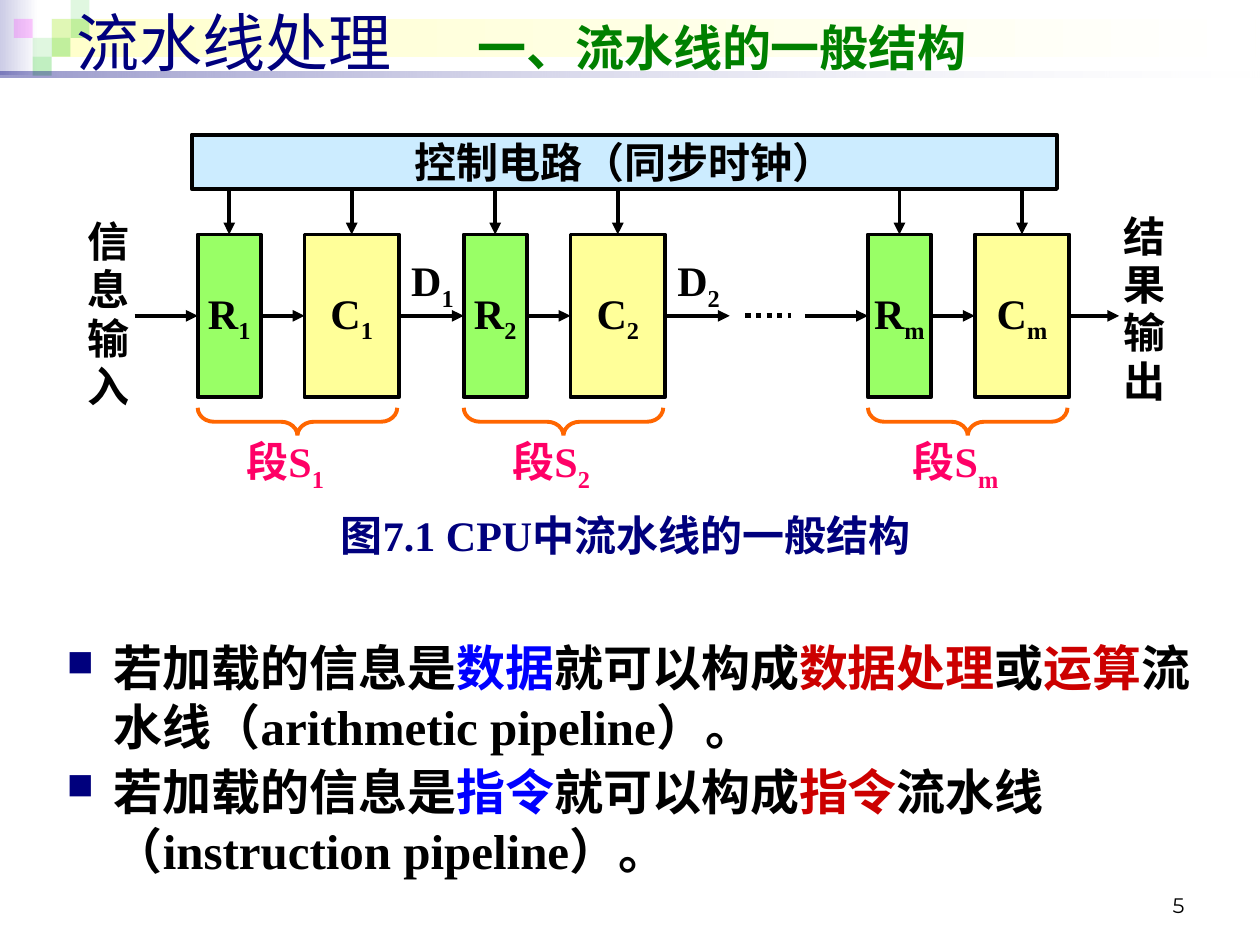
from lxml import etree
from pptx import Presentation
from pptx.dml.color import RGBColor
from pptx.enum.dml import MSO_LINE
from pptx.enum.shapes import MSO_CONNECTOR, MSO_SHAPE
from pptx.enum.text import MSO_ANCHOR, PP_ALIGN
from pptx.oxml.ns import qn
from pptx.util import Pt

BLACK = RGBColor(0x00, 0x00, 0x00)
WHITE = RGBColor(0xFF, 0xFF, 0xFF)
NAVY = RGBColor(0x00, 0x00, 0x7D)
LAVENDER = RGBColor(0xCC, 0xCC, 0xE6)
CREAM = RGBColor(0xFF, 0xFF, 0xCC)
GREEN = RGBColor(0x33, 0xCC, 0x33)
MAGENTA = RGBColor(0xFF, 0x00, 0xFF)
TITLE_GREEN = RGBColor(0x00, 0x80, 0x00)
BLUE = RGBColor(0x00, 0x00, 0xFF)
RED = RGBColor(0xCC, 0x00, 0x00)
PINK = RGBColor(0xFF, 0x00, 0x66)
ORANGE = RGBColor(0xFF, 0x66, 0x00)
SKY = RGBColor(0xCC, 0xEC, 0xFF)
REGISTER_FILL = RGBColor(0x99, 0xFF, 0x66)
CIRCUIT_FILL = RGBColor(0xFF, 0xFF, 0x99)


def add_xml(parent, tag, **attributes):
    return etree.SubElement(parent, qn(tag), {k: str(v) for k, v in attributes.items()})


def set_alpha(color_parent, percent):
    for color in color_parent.iter(qn("a:srgbClr")):
        add_xml(color, "a:alpha", val=percent * 1000)


def write(para, spans, size=24, font="Times New Roman", color=BLACK, bold=True,
          align=None, spacing=None):
    """Fill a paragraph with spans: plain text or (text, overrides)."""
    para.alignment = align
    para.line_spacing = spacing
    for item in [spans] if isinstance(spans, str) else spans:
        text, own = (item, {}) if isinstance(item, str) else item
        span = para.add_run()
        span.text = text
        span.font.size = Pt(own.get("size", size))
        span.font.name = font
        span.font.bold = own.get("bold", bold)
        span.font.color.rgb = own.get("color", color)
        if own.get("subscript"):
            span.font._element.set("baseline", "-25000")


def indexed(name, index):
    return [name, (index, {"subscript": True})]


class Drawing:
    line_width = 2.25

    def __init__(self, page):
        self.page = page

    def shape(self, kind, left, top, width, height, fill=None, line=None):
        item = self.page.shapes.add_shape(kind, Pt(left), Pt(top), Pt(width), Pt(height))
        item.shadow.inherit = False
        if fill is None:
            item.fill.background()
        else:
            item.fill.solid()
            item.fill.fore_color.rgb = fill
        if line is None:
            item.line.fill.background()
        else:
            item.line.color.rgb = line
            item.line.width = Pt(self.line_width)
        return item

    def tile(self, left, top, color, alpha):
        item = self.shape(MSO_SHAPE.RECTANGLE, left, top, 10.8, 10.8, color)
        set_alpha(item._element.spPr, alpha)

    def band(self, left, top, width, height, start, alphas=None):
        item = self.shape(MSO_SHAPE.RECTANGLE, left, top, width, height, WHITE)
        item.fill.gradient()
        item.fill.gradient_angle = 0
        for index, (stop, color) in enumerate(zip(item.fill.gradient_stops, (start, WHITE))):
            stop.position = index
            stop.color.rgb = color
            if alphas:
                set_alpha(stop._gs, alphas[index])

    def box(self, left, top, width, height, spans, fill=WHITE, line=None,
            anchor=MSO_ANCHOR.TOP, wrap=True, **style):
        item = self.shape(MSO_SHAPE.RECTANGLE, left, top, width, height, fill, line)
        frame = item.text_frame
        frame.margin_left = frame.margin_right = frame.margin_top = frame.margin_bottom = 0
        frame.vertical_anchor = anchor
        frame.word_wrap = wrap
        write(frame.paragraphs[0], spans, **{"align": PP_ALIGN.CENTER, **style})
        return item

    def text_box(self, left, top, width, height, anchor=MSO_ANCHOR.TOP):
        frame = self.page.shapes.add_textbox(Pt(left), Pt(top), Pt(width), Pt(height)).text_frame
        frame.word_wrap = True
        frame.vertical_anchor = anchor
        return frame

    def line(self, start, end, source=None, target=None, width=line_width, arrow=True):
        """Draw a line; source and target are (shape, site) joints."""
        item = self.page.shapes.add_connector(
            MSO_CONNECTOR.STRAIGHT, *(Pt(value) for value in (*start, *end)))
        if source:
            item.begin_connect(*source)
        if target:
            item.end_connect(*target)
        item.line.color.rgb = BLACK
        item.line.width = Pt(width)
        if arrow:
            add_xml(item.line._get_or_add_ln(), "a:tailEnd", type="triangle")
        add_xml(item._element.spPr, "a:effectLst")
        return item

    def brace(self, center, middle, length, depth):
        item = self.shape(MSO_SHAPE.LEFT_BRACE, center - depth / 2, middle - length / 2,
                          depth, length, line=ORANGE)
        item.adjustments[0] = 0.58
        item.rotation = 270


def add_header(drawing):
    drawing.band(0, 0, 22, 43, LAVENDER)
    drawing.band(29.5, 10.8, 688, 21.6, CREAM)
    for column, row, color, alpha in (
            (2, 1, GREEN, 15), (3, 0, GREEN, 15), (3, 1, GREEN, 30), (1, 2, GREEN, 15),
            (0, 1, MAGENTA, 20), (2, 2, GREEN, 30), (1, 3, GREEN, 30)):
        drawing.tile(7.9 + 10.8 * column, 10.8 * row, color, alpha)
    drawing.band(0, 41, 720, 3.6, NAVY, (40, 10))

    para = drawing.text_box(36.7, -2, 675, 51, MSO_ANCHOR.MIDDLE).paragraphs[0]
    tabs = add_xml(para._p.get_or_add_pPr(), "a:tabLst")
    add_xml(tabs, "a:tab", pos=Pt(229), algn="l")
    heading = ("一、流水线的一般结构", {"size": 28, "color": TITLE_GREEN, "bold": True})
    write(para, ["流水线处理\t", heading], size=36, font="Arial", color=NAVY, bold=False)


def add_pipeline(drawing):
    top, height, clock_bottom = 134, 93, 108
    middle = top + height / 2
    drawing.box(109.5, 77, 494.5, clock_bottom - 77, "控制电路（同步时钟）", SKY, BLACK,
                MSO_ANCHOR.MIDDLE)
    drawing.box(42.5, 125, 39.5, 122, "信息输入", spacing=0.96)
    drawing.box(636, 122, 36, 122, "结果输出", spacing=0.96)

    # Each stage: register, circuit, clock arrows, brace and name
    stages = []
    for left, index in ((113, "1"), (265, "2"), (496, "m")):
        pair = []
        for name, offset, width, fill in (("R", 0, 36, REGISTER_FILL),
                                          ("C", 61, 54, CIRCUIT_FILL)):
            block = drawing.box(left + offset, top, width, height, indexed(name, index),
                                fill, BLACK, MSO_ANCHOR.MIDDLE)
            center = left + offset + width / 2
            drawing.line((center, clock_bottom), (center, top), target=(block, 0))
            pair.append(block)
        register, circuit = pair
        drawing.line((left + 36, middle), (left + 61, middle), (register, 3), (circuit, 1))
        drawing.brace(left + 57, 241, 114, 16)
        drawing.box(left + 31, 249, 38, 26, indexed("段S", index), wrap=False, color=PINK)
        if index != "m":
            drawing.box(left + 122, 145.5, 29, 30, indexed("D", index),
                        align=PP_ALIGN.JUSTIFY)
        stages.append(pair)

    # Flow between the stages
    (first, first_out), (second, second_out), (last, last_out) = stages
    drawing.line((77, middle), (113, middle), target=(first, 1))
    drawing.line((228, middle), (265, middle), (first_out, 3), (second, 1))
    drawing.line((380, middle), (417, middle), (second_out, 3))
    dots = drawing.line((426, middle), (452, middle), width=3, arrow=False)
    dots.line.dash_style = MSO_LINE.ROUND_DOT
    drawing.line((460, middle), (496, middle), target=(last, 1))
    drawing.line((611, middle), (639.5, middle), (last_out, 3))
    drawing.box(186, 293, 343, 27, "图7.1 CPU中流水线的一般结构", wrap=False,
                color=NAVY, spacing=0.96)


def add_bullets(drawing):
    frame = drawing.text_box(31, 361, 675, 148)
    opening, link = "若加载的信息是", "就可以构成"
    points = (
        [opening, ("数据", {"color": BLUE}), link, ("数据处理", {"color": RED}), "或",
         ("运算", {"color": RED}), "流水线（arithmetic pipeline）。"],
        [opening, ("指令", {"color": BLUE}), link, ("指令", {"color": RED}),
         "流水线（instruction pipeline）。"],
    )
    for number, spans in enumerate(points):
        para = frame.add_paragraph() if number else frame.paragraphs[0]
        properties = para._p.get_or_add_pPr()
        properties.set("marL", str(Pt(27)))
        properties.set("indent", str(Pt(-27)))
        add_xml(add_xml(properties, "a:buClr"), "a:srgbClr", val=NAVY)
        add_xml(properties, "a:buSzPct", val=75000)
        add_xml(properties, "a:buChar", char="■")
        if number:
            para.space_before = Pt(3.5)
        write(para, spans, size=28)


def main():
    deck = Presentation()
    deck.slide_width, deck.slide_height = Pt(720), Pt(540)
    drawing = Drawing(deck.slides.add_slide(deck.slide_layouts[6]))
    add_header(drawing)
    add_pipeline(drawing)
    add_bullets(drawing)

    # Page number
    number = drawing.text_box(516, 492, 168, 36, MSO_ANCHOR.BOTTOM)
    write(number.paragraphs[0], "5", size=12, font="Montserrat", bold=False,
          align=PP_ALIGN.RIGHT)
    deck.save("out.pptx")


if __name__ == "__main__":
    main()
